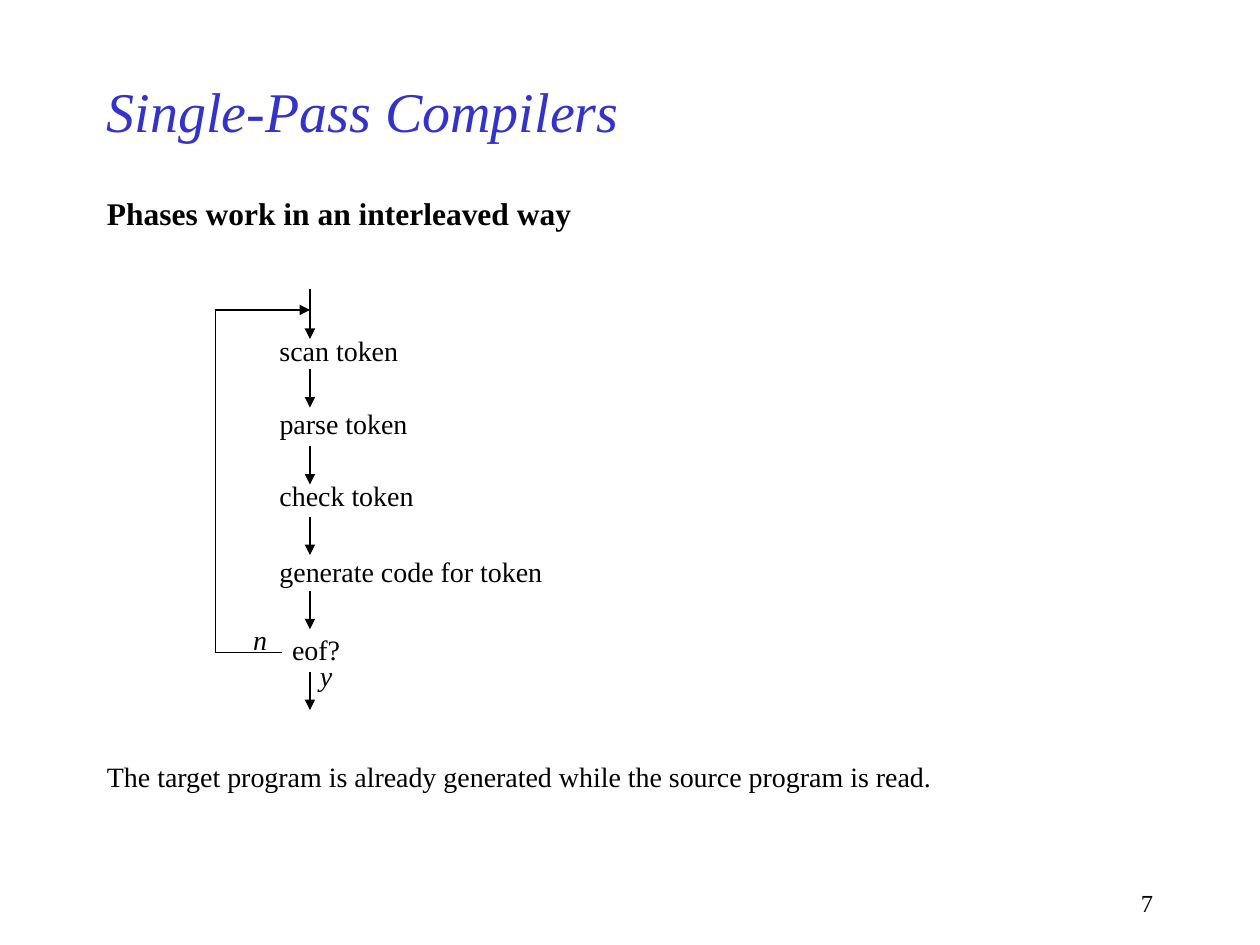
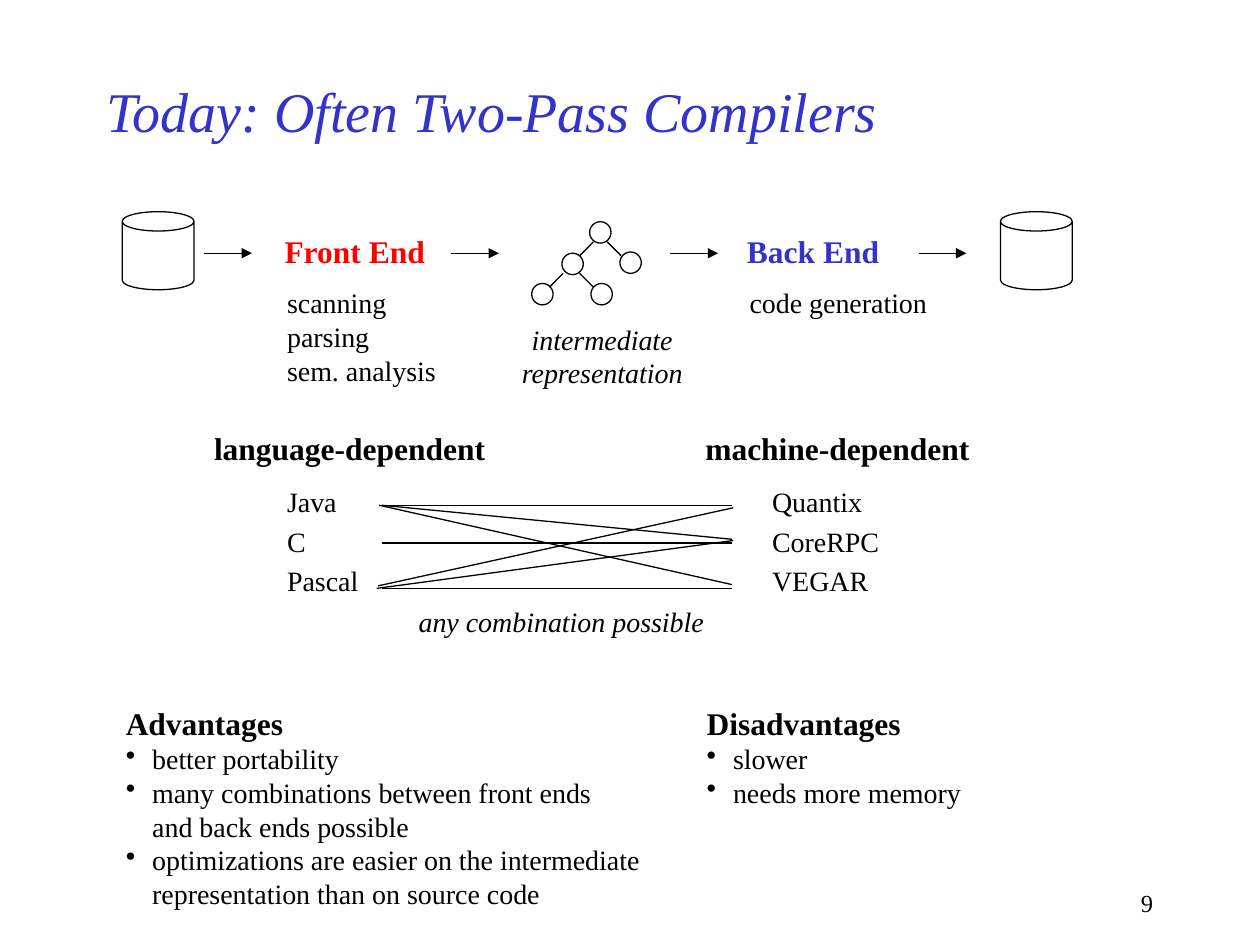
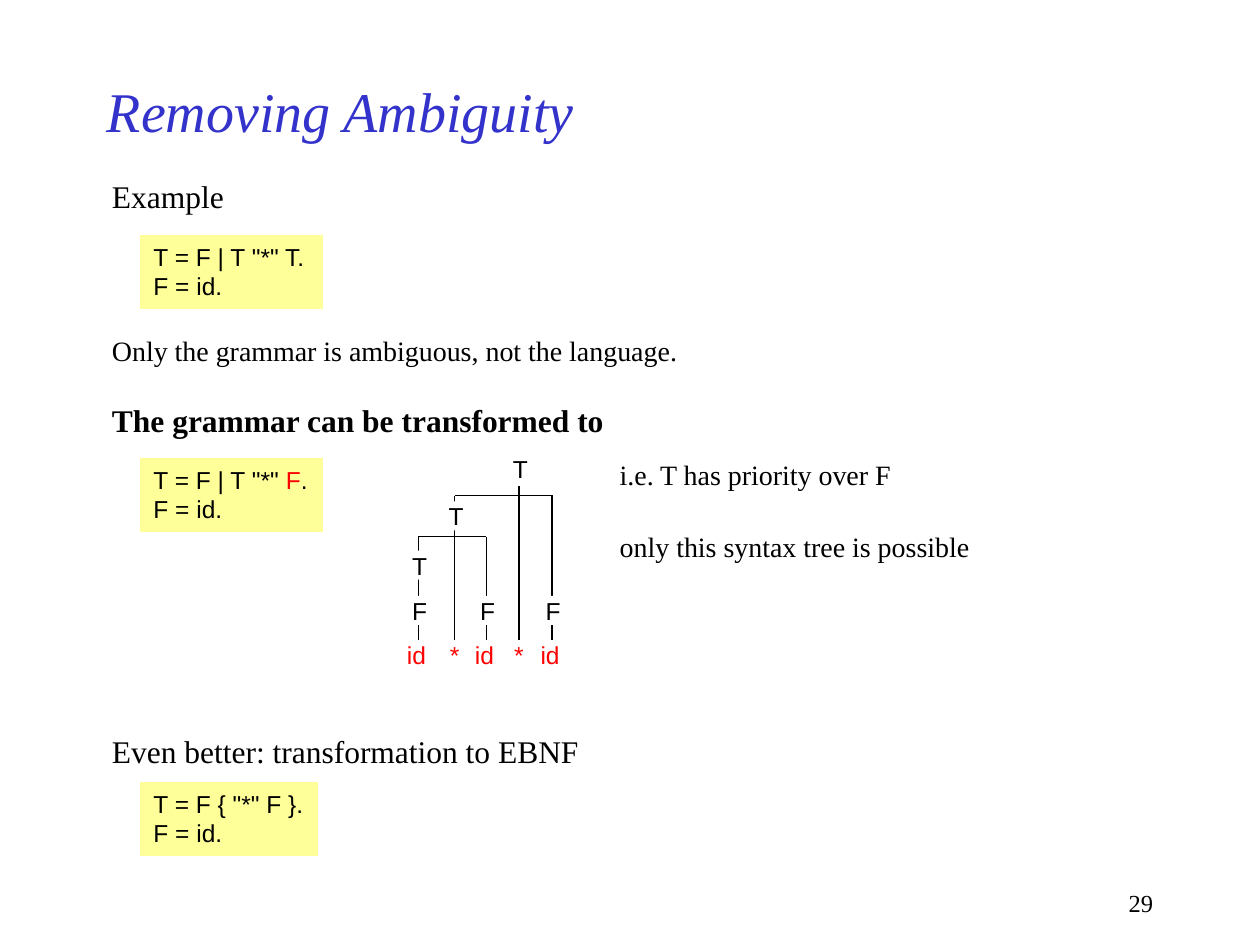
from lxml import etree
from pptx import Presentation
from pptx.dml.color import RGBColor
from pptx.enum.shapes import MSO_CONNECTOR, MSO_SHAPE
from pptx.enum.text import MSO_ANCHOR, MSO_AUTO_SIZE, PP_ALIGN
from pptx.oxml.ns import qn
from pptx.util import Inches, Pt

# The slide is a grid of 100 columns and 75 rows; all places are in grid units.
SLIDE_WIDTH, SLIDE_HEIGHT = Inches(10), Inches(7.5)
COLUMN, ROW = SLIDE_WIDTH / 100, SLIDE_HEIGHT / 75
COLORS = {"text": "000000", "title": "3333CC", "accent": "FF0000",
          "code": "FFFF99", "paper": "FFFFFF"}
LINE_WIDTH = Pt(0.75)
SERIF, SANS = "Times New Roman", "Arial"

LEFT, CENTER, RIGHT = PP_ALIGN.LEFT, PP_ALIGN.CENTER, PP_ALIGN.RIGHT
TOP, MIDDLE = MSO_ANCHOR.TOP, MSO_ANCHOR.MIDDLE
GROW, FIXED = MSO_AUTO_SIZE.SHAPE_TO_FIT_TEXT, MSO_AUTO_SIZE.NONE
CAN, OVAL, RECTANGLE = MSO_SHAPE.CAN, MSO_SHAPE.OVAL, MSO_SHAPE.RECTANGLE
STRAIGHT = MSO_CONNECTOR.STRAIGHT

BODY = {"name": SERIF, "size": 16, "color": "text"}
ITALIC = {**BODY, "italic": True}
LARGE = {**BODY, "size": 18}
HEADING = {**LARGE, "bold": True}
TITLE = {"name": SERIF, "size": 32, "color": "title", "italic": True}
NUMBER = {**BODY, "size": 14}
CODE = {"name": SANS, "size": 14, "color": "text"}
TOKEN = {**CODE, "color": "accent"}


def color(name):
    """Return the named colour."""
    return RGBColor.from_string(COLORS[name])


def place(left, top, width, height):
    """Turn grid units into slide lengths."""
    return [round(value) for value in
            (left * COLUMN, top * ROW, width * COLUMN, height * ROW)]


def format_run(run, style):
    """Apply a dict of format values to a run."""
    for key, value in style.items():
        if key == "color":
            run.font.color.rgb = color(value)
        else:
            setattr(run.font, key, Pt(value) if key == "size" else value)


def add_runs(paragraph, runs):
    """Add (text, style) runs; a newline becomes a line break."""
    for text, style in runs:
        for index, part in enumerate(text.split("\n")):
            if index:
                paragraph.add_line_break()
            run = paragraph.add_run()
            run.text = part
            format_run(run, style)


def fill_text(shape, paragraphs, align=LEFT, anchor=TOP, wrap=False, grow=True,
              inset=1, before=0):
    """Write paragraphs, each a list of runs, into a shape."""
    frame = shape.text_frame
    settings = {"word_wrap": wrap, "auto_size": GROW if grow else FIXED,
                "vertical_anchor": anchor,
                "margin_left": round(inset * COLUMN),
                "margin_right": round(inset * COLUMN),
                "margin_top": round(inset * ROW / 2),
                "margin_bottom": round(inset * ROW / 2)}
    for name, value in settings.items():
        setattr(frame, name, value)
    for index, runs in enumerate(paragraphs):
        paragraph = frame.add_paragraph() if index else frame.paragraphs[0]
        paragraph.alignment = align
        if before:
            paragraph.space_before = Pt(before)
        add_runs(paragraph, runs)
    return frame


def add_text(shapes, box, text, style=BODY, **options):
    """Add a text box with one paragraph for each text in a list."""
    lines = [text] if isinstance(text, str) else text
    shape = shapes.add_textbox(*place(*box))
    return fill_text(shape, [[(line, style)] for line in lines], **options)


def add_bullets(shapes, box, heading, items):
    """Add a heading with a bulleted list below it."""
    frame = add_text(shapes, box, heading, HEADING)
    for item in items:
        add_runs(frame.add_paragraph(), [(item, BODY)])
    for index, paragraph in enumerate(frame.paragraphs):
        properties = paragraph._p.get_or_add_pPr()
        properties.set("marL", str(Inches(0.21)))
        properties.set("indent", str(-Inches(0.21)))
        if index:
            etree.SubElement(properties, qn("a:buChar"), char="•")


def add_shape(shapes, kind, box, fill=None, line="text"):
    """Add a preset shape with a plain fill and outline."""
    shape = shapes.add_shape(kind, *place(*box))
    shape.shadow.inherit = False
    for part, name in ((shape.fill, fill), (shape.line.fill, line)):
        if name:
            part.solid()
            part.fore_color.rgb = color(name)
        else:
            part.background()
    if line:
        shape.line.width = LINE_WIDTH
    return shape


def add_line(shapes, start, end, arrow=False):
    """Draw a straight line between two grid points."""
    connector = shapes.add_connector(STRAIGHT, *place(*start, *end))
    connector.line.color.rgb = color("text")
    connector.line.width = LINE_WIDTH
    properties = connector._element.spPr
    if arrow:
        etree.SubElement(properties.find(qn("a:ln")), qn("a:tailEnd"), type="triangle")
    etree.SubElement(properties, qn("a:effectLst"))


def add_code(shapes, top, width, paragraphs):
    """Add a grammar on a coloured panel."""
    panel = add_shape(shapes, RECTANGLE, (11.2, top, width, 5.8), "code", "code")
    fill_text(panel, paragraphs)


def add_slide(presentation, title, number):
    """Add a blank slide with title and page number, and return its shapes."""
    shapes = presentation.slides.add_slide(presentation.slide_layouts[6]).shapes
    add_text(shapes, (71.7, 70, 20.8, 3.3), number, NUMBER, align=RIGHT,
             wrap=True, grow=False)
    add_text(shapes, (7.5, 5, 75, 7.5), title, TITLE, anchor=MIDDLE,
             wrap=True, grow=False)
    return shapes


def build_single_pass(presentation):
    """Show the token loop of a single-pass compiler."""
    shapes = add_slide(presentation, "Single-Pass Compilers", "7")
    add_text(shapes, (7.5, 14.9, 38.9, 4), "Phases work in an interleaved way", HEADING)
    steps = (("scan token", 21.2, 26, 11.4), ("parse token", 21.2, 31.8, 12.2),
             ("check token", 21.2, 37.5, 12.7),
             ("generate code for token", 21.2, 43.5, 23), ("eof?", 22.2, 49.7, 5.8))
    for text, left, top, width in steps:
        add_text(shapes, (left, top, width, 3.7), text)

    flow, loop, entry, test = 24.6, 17.1, 24.6, 51.8
    add_line(shapes, (flow, 22.9), (flow, 26.9), arrow=True)
    for top in (29.3, 35.4, 41, 46.9, 53.3):
        add_line(shapes, (flow, top), (flow, top + 3.05), arrow=True)
    add_line(shapes, (22.4, test), (loop, test))
    add_line(shapes, (loop, test), (loop, entry))
    add_line(shapes, (loop, entry), (flow, entry), arrow=True)

    add_text(shapes, (7.5, 59.8, 67.8, 3.7),
             "The target program is already generated while the source program is read.")
    add_text(shapes, (19.1, 48.9, 3.1, 3.7), "n", ITALIC)
    add_text(shapes, (24.4, 51.8, 3, 3.7), "y", ITALIC)


def add_node_tree(shapes):
    """Draw the small tree of the intermediate representation."""
    tree = shapes.add_group_shape().shapes
    for left, top in ((42.2, 22.5), (46.9, 22.5), (44.6, 20.1), (46.8, 17.6), (49.2, 20)):
        add_shape(tree, OVAL, (left, top, 1.7, 1.7))
    for left, top, step in ((43.6, 22.8, 1.1), (47.1, 22.8, -1.1),
                            (46, 20.3, 1.1), (49.3, 20.3, -1.1)):
        add_line(tree, (left, top), (left + step, top - 1.1))


def build_two_pass(presentation):
    """Show front end, back end and their combinations."""
    shapes = add_slide(presentation, "Today: Often Two-Pass Compilers", "9")
    for left in (9.7, 79.4):
        store = add_shape(shapes, CAN, (left, 16.8, 5.7, 6.2))
        store.adjustments[0] = 0.27
    for left in (16.2, 35.8, 53.2, 72.9):
        add_line(shapes, (left, 20.1), (left + 3.8, 20.1), arrow=True)
    add_node_tree(shapes)
    add_text(shapes, (21.6, 17.9, 13.2, 4), "Front End", {**HEADING, "color": "accent"})
    add_text(shapes, (21.8, 22.2, 13.9, 9), ["scanning", "parsing", "sem. analysis"])
    add_text(shapes, (40.3, 25.1, 15, 6.4), ["intermediate", "representation"],
             ITALIC, align=CENTER)
    add_text(shapes, (58.3, 17.9, 12.5, 4), "Back End", {**HEADING, "color": "title"})
    add_text(shapes, (58.5, 22.2, 16.1, 3.7), "code generation")

    add_text(shapes, (16, 33.6, 23.5, 4), "language-dependent", HEADING)
    add_text(shapes, (55, 33.6, 23, 4), "machine-dependent", HEADING)
    add_text(shapes, (21.8, 38, 7.7, 10.1), ["Java", "C", "Pascal"], before=3.2)
    add_text(shapes, (60.3, 38, 12, 10.1), ["Quantix", "CoreRPC", "VEGAR"], before=3.2)
    links = shapes.add_group_shape().shapes
    for row in (40.1, 43.1, 46.7):
        add_line(links, (30.3, row), (58.1, row))
    for start, end in (((30.3, 40.1), (58.1, 42.8)), ((30.1, 40.1), (58.1, 46.4)),
                       ((30, 46.5), (58.2, 40.3)), ((29.9, 46.7), (58.2, 42.9))):
        add_line(links, start, end)
    add_text(shapes, (32.2, 47.5, 24.7, 3.7), "any combination possible",
             ITALIC, align=CENTER)

    add_bullets(shapes, (9, 55.4, 43, 17.4), "Advantages", [
        "better portability",
        "many combinations between front ends\nand back ends possible",
        "optimizations are easier on the intermediate\nrepresentation than on source code"])
    add_bullets(shapes, (55.1, 55.4, 22.3, 9.4), "Disadvantages",
                ["slower", "needs more memory"])


def add_syntax_tree(shapes):
    """Draw the syntax tree: stems and branches first, labels on top."""
    stems = {33.2: 42.6, 36.1: 39.4, 38.6: 42.6, 41.2: 38.6, 43.8: 39.3}
    for column, top in stems.items():
        add_line(shapes, (column, 51), (column, top))
    for left, right, row in ((33.2, 38.6, 42.6), (36.1, 43.8, 39.3)):
        add_line(shapes, (left, row), (right, row))

    sizes = {"T": (0.5, 1.2), "F": (0.5, 1.2), "id": (0.9, 1.7), "*": (0.4, 0.8)}
    leaves = zip(stems, ("id", "*", "id", "*", "id"))
    labels = [(text, column, 50.8, TOKEN) for column, text in leaves]
    labels += [("F", column, 47.3, CODE) for column in (33.2, 38.6, 43.8)]
    labels += [("T", column, top, CODE)
               for column, top in ((33.2, 43.7), (36.1, 39.8), (41.2, 36))]
    for text, column, top, style in labels:
        offset, width = sizes[text]
        label = add_shape(shapes, RECTANGLE, (column - offset, top, width, 2.3),
                          "paper", None)
        fill_text(label, [[(text, style)]], inset=0)


def build_ambiguity(presentation):
    """Show how a grammar is made unambiguous."""
    shapes = add_slide(presentation, "Removing Ambiguity", "29")
    last_rule = [("F = id.", CODE)]
    add_text(shapes, (7.9, 13.6, 10.9, 4), "Example", LARGE)
    add_code(shapes, 18.7, 14.4, [[('T = F | T "*" T.', CODE)], last_rule])
    frame = add_text(shapes, (7.9, 26, 47.1, 9.4),
                     "Only the grammar is ambiguous, not the language.")
    paragraph = frame.add_paragraph()
    paragraph.space_before = Pt(19)
    add_runs(paragraph, [("The grammar can be transformed to", HEADING)])
    add_code(shapes, 36.4, 14.4,
             [[('T = F | T "*" ', CODE), ("F", TOKEN), (".", CODE)], last_rule])
    add_text(shapes, (48.2, 35.8, 23.7, 3.7), "i.e. T has priority over F")
    add_text(shapes, (48.2, 41.5, 29.9, 3.7), "only this syntax tree is possible")
    add_syntax_tree(shapes)
    add_text(shapes, (7.9, 57.6, 39.1, 4), "Even better: transformation to EBNF", LARGE)
    add_code(shapes, 62.1, 14, [[('T = F { "*" F }.', CODE)], last_rule])


def main():
    """Build the three slides and save them."""
    presentation = Presentation()
    presentation.slide_width, presentation.slide_height = SLIDE_WIDTH, SLIDE_HEIGHT
    build_single_pass(presentation)
    build_two_pass(presentation)
    build_ambiguity(presentation)
    presentation.save("out.pptx")


main()
